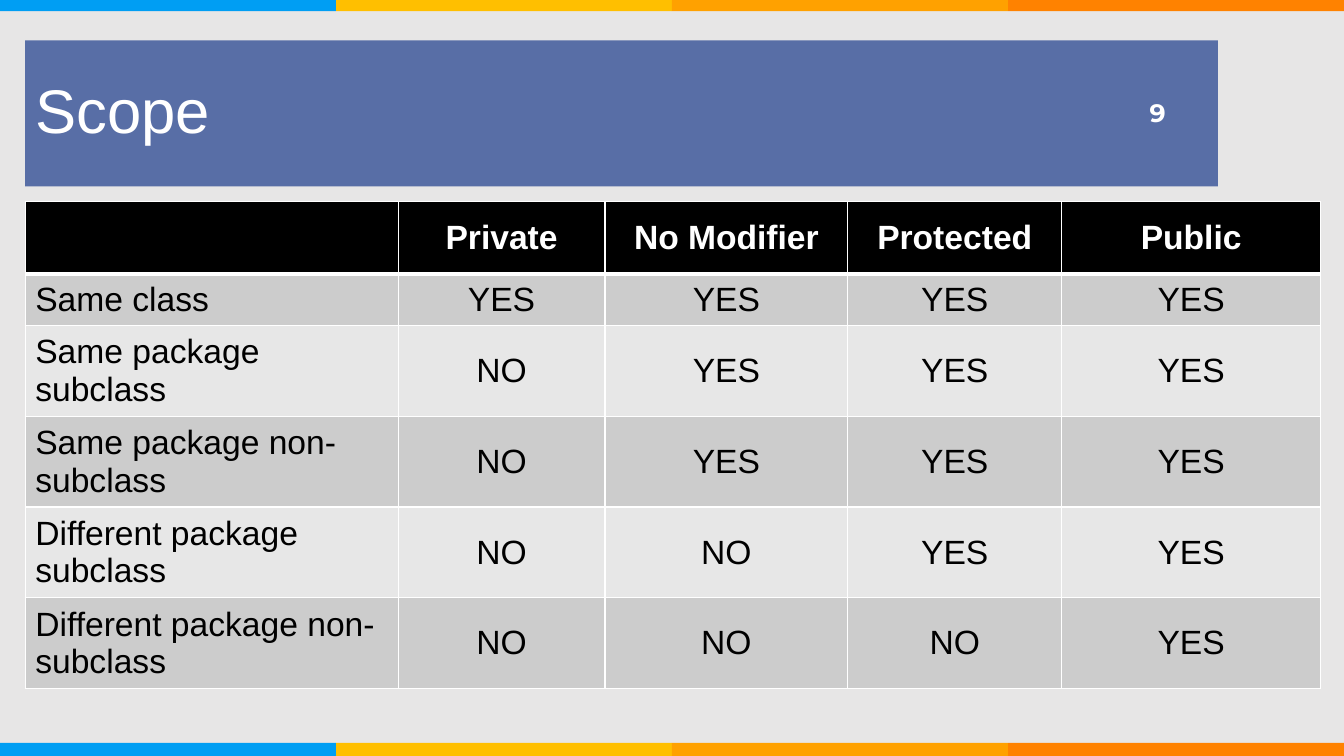
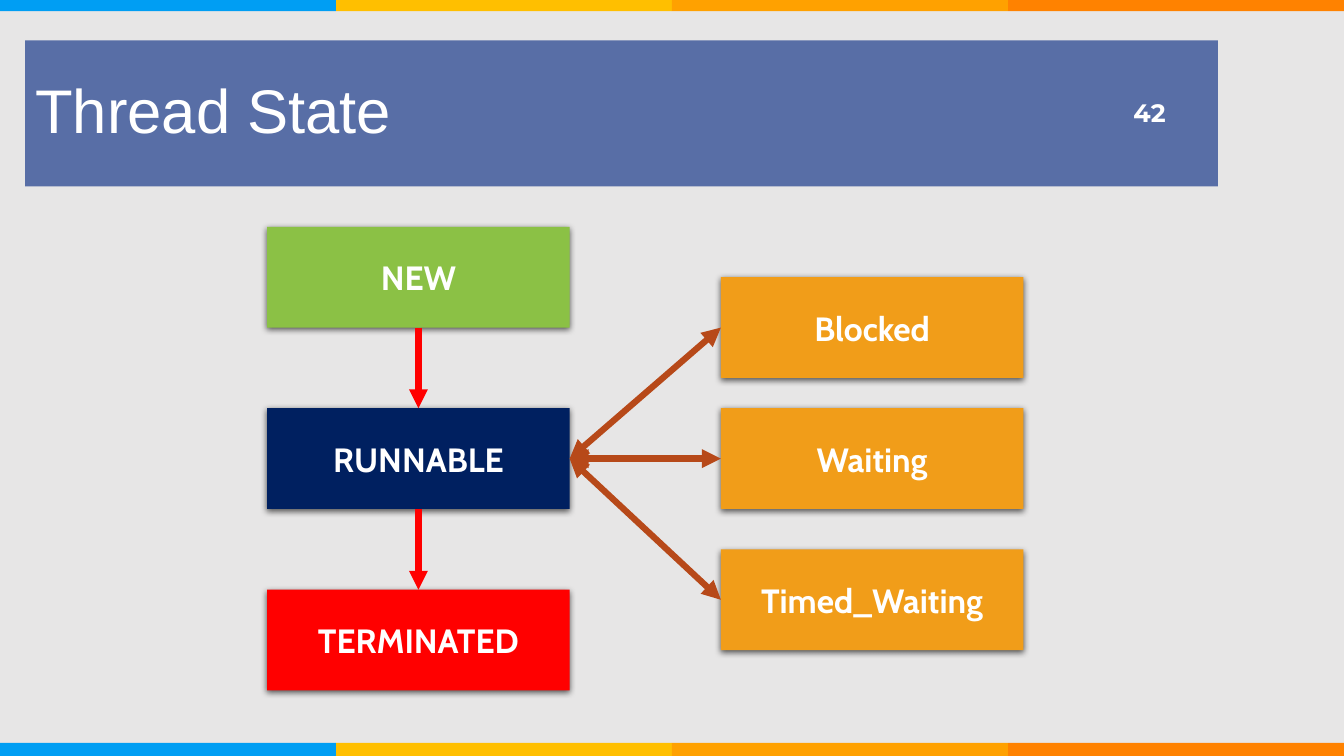
from lxml import etree
from pptx import Presentation
from pptx import util as u
from pptx.dml.color import RGBColor
from pptx.enum import shapes, text
from pptx.oxml import ns

WHITE = RGBColor(0xFF, 0xFF, 0xFF)
BLACK = RGBColor(0x00, 0x00, 0x00)
PAPER = RGBColor(0xE7, 0xE6, 0xE6)
TITLE_BLUE = RGBColor(0x58, 0x6E, 0xA6)
DARK_ROW = RGBColor(0xCC, 0xCC, 0xCC)
LIGHT_ROW = RGBColor(0xE7, 0xE7, 0xE7)
GREEN = RGBColor(0x8B, 0xC1, 0x45)
NAVY = RGBColor(0x00, 0x20, 0x60)
RED = RGBColor(0xFF, 0x00, 0x00)
ORANGE = RGBColor(0xF1, 0x9D, 0x19)
RUST = RGBColor(0xB7, 0x49, 0x19)
BAND_COLOURS = (
    RGBColor(0x00, 0x9E, 0xF3),
    RGBColor(0xFF, 0xBF, 0x00),
    RGBColor(0xFF, 0xA1, 0x00),
    RGBColor(0xFF, 0x82, 0x00),
)

PAGE_WIDTH, PAGE_HEIGHT = 13.33, 7.5
TOP, LEFT, BOTTOM, RIGHT = range(4)


def add_xml(parent, tag, **attributes):
    return etree.SubElement(parent, ns.qn(tag), attributes)


class SlideBuilder:
    def __init__(self):
        self.deck = Presentation()
        self.deck.slide_width = u.Inches(PAGE_WIDTH)
        self.deck.slide_height = u.Inches(PAGE_HEIGHT)
        fill = self.deck.slide_master.background.fill
        fill.solid()
        fill.fore_color.rgb = PAPER
        self.page = None

    def start_page(self, title, number):
        self.page = self.deck.slides.add_slide(self.deck.slide_layouts[5])
        self.bands()
        self.title(title)
        self.page_number(number)

    def words(self, frame, wording, size, font, colour=WHITE, bold=False,
              align=text.PP_ALIGN.CENTER):
        frame.word_wrap = True
        frame.vertical_anchor = text.MSO_ANCHOR.MIDDLE
        para = frame.paragraphs[0]
        para.alignment = align
        span = para.add_run()
        span.text = wording
        span.font.size = u.Pt(size)
        span.font.name = font
        span.font.bold = bold
        span.font.color.rgb = colour
        return para

    def rectangle(self, left, top, width, height, colour):
        box = self.page.shapes.add_shape(
            shapes.MSO_SHAPE.RECTANGLE, u.Inches(left), u.Inches(top),
            u.Inches(width), u.Inches(height))
        box.shadow.inherit = False
        box.fill.solid()
        box.fill.fore_color.rgb = colour
        box.line.fill.background()
        return box

    def bands(self):
        width = PAGE_WIDTH / len(BAND_COLOURS)
        for top, height in ((0, 0.11), (7.37, 0.13)):
            for column, colour in enumerate(BAND_COLOURS):
                self.rectangle(column * width, top, width, height, colour)

    def title(self, wording):
        box = self.page.shapes.title
        box.left, box.top = u.Inches(0.25), u.Inches(0.4)
        box.width, box.height = u.Inches(11.83), u.Inches(1.45)
        box.fill.solid()
        box.fill.fore_color.rgb = TITLE_BLUE
        box.text_frame.auto_size = text.MSO_AUTO_SIZE.NONE
        para = self.words(box.text_frame, wording, 44, "Arial",
                          align=text.PP_ALIGN.LEFT)
        para.line_spacing = 0.9

    def page_number(self, number):
        box = self.page.shapes.add_textbox(
            u.Inches(11.09), u.Inches(0.92), u.Inches(0.57), u.Inches(0.4))
        self.words(box.text_frame, str(number), 18, "Montserrat", bold=True,
                   align=text.PP_ALIGN.RIGHT)

    def state(self, wording, left, top, colour):
        box = self.rectangle(left, top, 3, 1, colour)
        effects = box.element.spPr.find(ns.qn("a:effectLst"))
        shadow = add_xml(effects, "a:outerShdw", blurRad=str(u.Pt(4.5)),
                         dist=str(u.Pt(1.5)), dir="5400000", algn="ctr",
                         rotWithShape="0")
        shade = add_xml(shadow, "a:srgbClr", val=str(BLACK))
        add_xml(shade, "a:alpha", val="63000")
        self.words(box.text_frame, wording, 24, "Cabin", bold=True)
        return box

    def arrow(self, source, source_side, target, target_side, colour,
              both_ways=False):
        line = self.page.shapes.add_connector(
            shapes.MSO_CONNECTOR.STRAIGHT, 0, 0, 0, 0)
        line.begin_connect(source, source_side)
        line.end_connect(target, target_side)
        line.line.color.rgb = colour
        line.line.width = u.Pt(4.5)
        outline = line.element.spPr.find(ns.qn("a:ln"))
        if both_ways:
            add_xml(outline, "a:headEnd", type="triangle")
        add_xml(outline, "a:tailEnd", type="triangle")
        add_xml(line.element.spPr, "a:effectLst")

    def borders(self, cell, top, bottom):
        properties = cell._tc.get_or_add_tcPr()
        widths = {"a:lnL": 1, "a:lnR": 1, "a:lnT": top, "a:lnB": bottom}
        for tag, width in widths.items():
            edge = add_xml(properties, tag, w=str(u.Pt(width)))
            fill = add_xml(edge, "a:solidFill")
            add_xml(fill, "a:srgbClr", val=str(WHITE))

    def table(self, left, top, widths, heights, rows):
        table = self.page.shapes.add_table(
            len(rows), len(widths), u.Inches(left), u.Inches(top),
            u.Inches(sum(widths)), u.Inches(sum(heights))).table
        for column, width in zip(table.columns, widths):
            column.width = u.Inches(width)
        for row, height in zip(table.rows, heights):
            row.height = u.Inches(height)
        for row, values in enumerate(rows):
            header = row == 0
            shade = BLACK if header else DARK_ROW if row % 2 else LIGHT_ROW
            for column, wording in enumerate(values):
                cell = table.cell(row, column)
                self.borders(cell, top=3 if row == 1 else 1,
                             bottom=3 if header else 1)
                cell.fill.solid()
                cell.fill.fore_color.rgb = shade
                if wording:
                    self.words(
                        cell.text_frame, wording, 24, "Arial",
                        WHITE if header else BLACK, header,
                        text.PP_ALIGN.CENTER if column else text.PP_ALIGN.LEFT)
                cell.vertical_anchor = text.MSO_ANCHOR.MIDDLE


def scope_page(builder):
    builder.start_page("Scope", 9)
    builder.table(
        0.25, 2, (3.7, 2.05, 2.41, 2.12, 2.57), (0.72, 0.51) + (0.89,) * 4,
        (
            ("", "Private", "No Modifier", "Protected", "Public"),
            ("Same class", "YES", "YES", "YES", "YES"),
            ("Same package subclass", "NO", "YES", "YES", "YES"),
            ("Same package non-subclass", "NO", "YES", "YES", "YES"),
            ("Different package subclass", "NO", "NO", "YES", "YES"),
            ("Different package non-subclass", "NO", "NO", "NO", "YES"),
        ))


def thread_state_page(builder):
    builder.start_page("Thread State", 42)
    lifecycle = (("NEW", GREEN), ("RUNNABLE", NAVY), ("TERMINATED", RED))
    new, runnable, terminated = [
        builder.state(wording, 2.65, 2.25 + 1.8 * step, colour)
        for step, (wording, colour) in enumerate(lifecycle)]
    builder.arrow(new, BOTTOM, runnable, TOP, RED)
    builder.arrow(runnable, BOTTOM, terminated, TOP, RED)
    pauses = (("Blocked", 2.75), ("Waiting", 4.05), ("Timed_Waiting", 5.45))
    for wording, top in pauses:
        pause = builder.state(wording, 7.15, top, ORANGE)
        builder.arrow(runnable, RIGHT, pause, LEFT, RUST, both_ways=True)


def main():
    builder = SlideBuilder()
    scope_page(builder)
    thread_state_page(builder)
    builder.deck.save("out.pptx")


if __name__ == "__main__":
    main()
